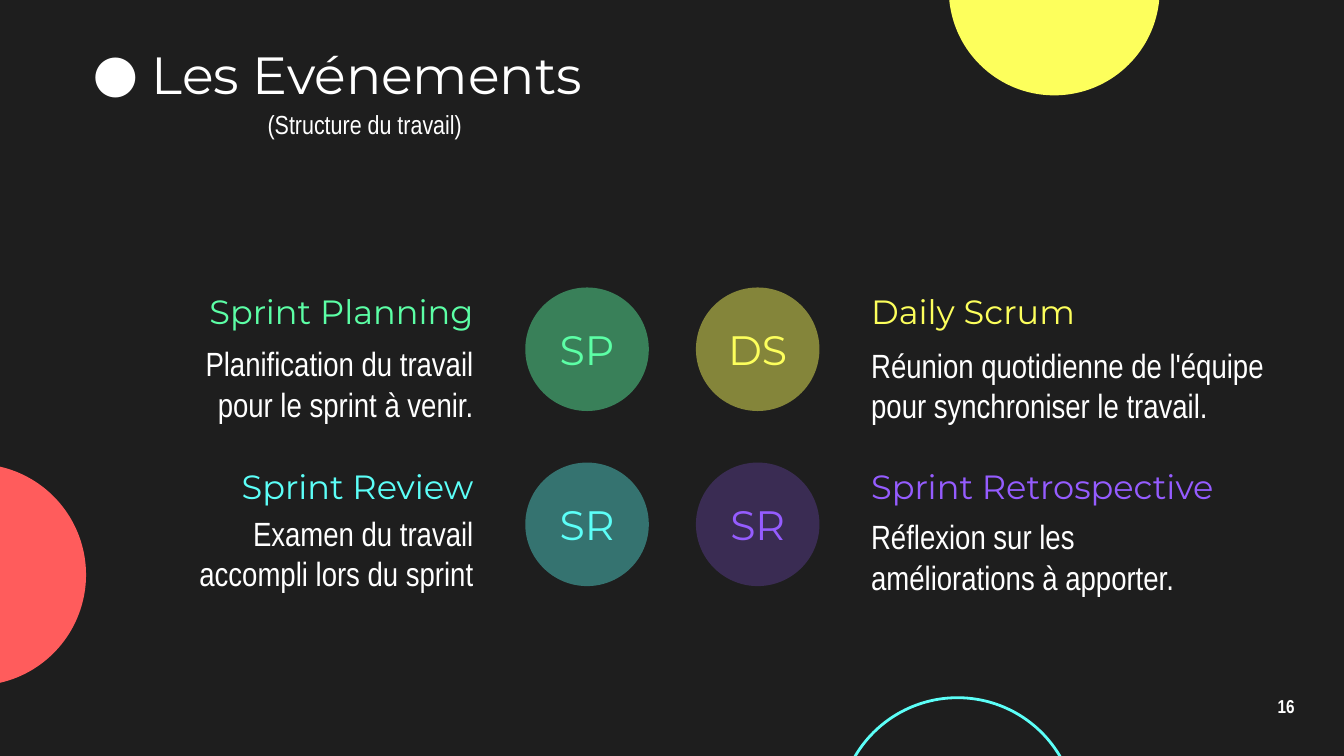
from lxml.etree import SubElement
from pptx import Presentation
from pptx.dml.color import RGBColor
from pptx.enum.shapes import MSO_SHAPE
from pptx.enum.text import MSO_ANCHOR, PP_ALIGN
from pptx.oxml.ns import qn
from pptx.util import Pt

COLORS = {
    "dark": "1E1E1E", "white": "FFFFFF", "red": "FF5C5C", "yellow": "FDFF5C",
    "green": "5CFFA6", "cyan": "5CFFF8", "violet": "955CFF",
}
HEAD, BODY = "Montserrat", "Arial Narrow"
DOT, GAP = 66.2, 20.6
INSET = 7.2


def color(name):
    return RGBColor.from_string(COLORS[name])


def write(shape, text, size, font, tint="white", align=PP_ALIGN.LEFT,
          inset=INSET, wrap=True, bold=False):
    frame = shape.text_frame
    form = {"word_wrap": wrap, "vertical_anchor": MSO_ANCHOR.MIDDLE}
    for side in ("left", "top", "right", "bottom"):
        form[f"margin_{side}"] = Pt(inset)
    for key, value in form.items():
        setattr(frame, key, value)
    para = frame.paragraphs[0]
    para.alignment = align
    run = para.add_run()
    run.text = text
    for key, value in {"size": Pt(size), "name": font, "bold": bold}.items():
        setattr(run.font, key, value)
    run.font.color.rgb = color(tint)
    return para


def label(slide, box, *args, **form):
    shape = slide.shapes.add_textbox(*map(Pt, box))
    return write(shape, *args, **form)


def disc(slide, left, top, size, fill=None, line=None, alpha=None):
    shape = slide.shapes.add_shape(
        MSO_SHAPE.OVAL, Pt(left), Pt(top), Pt(size), Pt(size))
    shape.shadow.inherit = False
    if fill:
        shape.fill.solid()
        shape.fill.fore_color.rgb = color(fill)
    else:
        shape.fill.background()
    if line:
        shape.line.color.rgb = color(line)
        shape.line.width = Pt(1.5)
    else:
        shape.line.fill.background()
    if alpha:
        tone = shape.fill._xPr.find(".//" + qn("a:srgbClr"))
        SubElement(tone, qn("a:alpha"), val=str(alpha * 1000))
    return shape


def decor(slide, width, height):
    # Discs cut off by the slide edges
    disc(slide, width - 211.7, -61.9, 113, fill="yellow")
    disc(slide, -72.7, height - 156.5, 118.8, fill="red")
    disc(slide, width - 270.7, height - 31.2, 127.4, line="cyan")


def header(slide, box):
    left, top, width, height = box
    # Title with a round bullet
    para = label(slide, box, "Les Evénements", 28, HEAD)
    props = para._p.get_or_add_pPr()
    props.set("marL", str(Pt(36)))
    props.set("indent", str(Pt(-31.7)))
    tone = SubElement(props, qn("a:buClr"))
    SubElement(tone, qn("a:srgbClr"), val=COLORS["white"])
    SubElement(props, qn("a:buFont"), typeface=HEAD)
    SubElement(props, qn("a:buChar"), char="●")
    # Subtitle
    label(slide, (left + 84.2, top + 27.4, 146.2, height),
          "(Structure du travail)", 14, BODY, align=PP_ALIGN.CENTER)


def event(slide, box, mark, name, note, tint, alpha, wide, drop, tall, flip):
    left, top, width, height = box
    span = width - DOT - GAP
    spot, start = (left + width - DOT, left) if flip else (left, left + DOT + GAP)
    align = PP_ALIGN.RIGHT if flip else PP_ALIGN.LEFT
    # Round badge
    badge = disc(slide, spot, top, height, fill=tint, alpha=alpha)
    write(badge, mark, 22, HEAD, tint, PP_ALIGN.CENTER, inset=0, wrap=False)
    # Name and description
    label(slide, (start, top, wide, 25.2), name, 18, HEAD, tint, align)
    label(slide, (start, top + drop, span, tall), note, 18, BODY, align=align)


def number(slide, box):
    para = label(slide, box, "16", 10, BODY, align=PP_ALIGN.CENTER, bold=True)
    para.line_spacing = 0.8


def main():
    deck = Presentation()
    width, height = 720, 405
    deck.slide_width, deck.slide_height = Pt(width), Pt(height)
    slide = deck.slides.add_slide(deck.slide_layouts[6])
    slide.background.fill.solid()
    slide.background.fill.fore_color.rgb = color("dark")

    decor(slide, width, height)
    header(slide, (38.2, 20.9, 315.4, 36.7))

    # Box width, then mark, name, note, tint, alpha, name width, drop, note height
    events = [
        (267.6, "SP", "Sprint Planning",
         "Planification du travail pour le sprint à venir.",
         "green", 44, 180.8, 26.6, 49.7),
        (333, "DS", "Daily Scrum",
         "Réunion quotidienne de l'équipe pour synchroniser le travail.",
         "yellow", 46, 180.8, 20.2, 64),
        (267.6, "SR", "Sprint Review",
         "Examen du travail accompli lors du sprint",
         "cyan", 38, 180.8, 20.9, 55.4),
        (297.8, "SR", "Sprint Retrospective",
         "Réflexion sur les améliorations à apporter.",
         "violet", 24, 215.3, 15.1, 70.6),
    ]
    for i, (wide, *parts) in enumerate(events):
        row, col = divmod(i, 2)
        box = ((80, 372.8)[col], 154 + row * 93.8, wide, DOT)
        event(slide, box, *parts, flip=col == 0)

    number(slide, (667.4, 367.2, 43.2, 24.5))
    deck.save("out.pptx")


if __name__ == "__main__":
    main()
